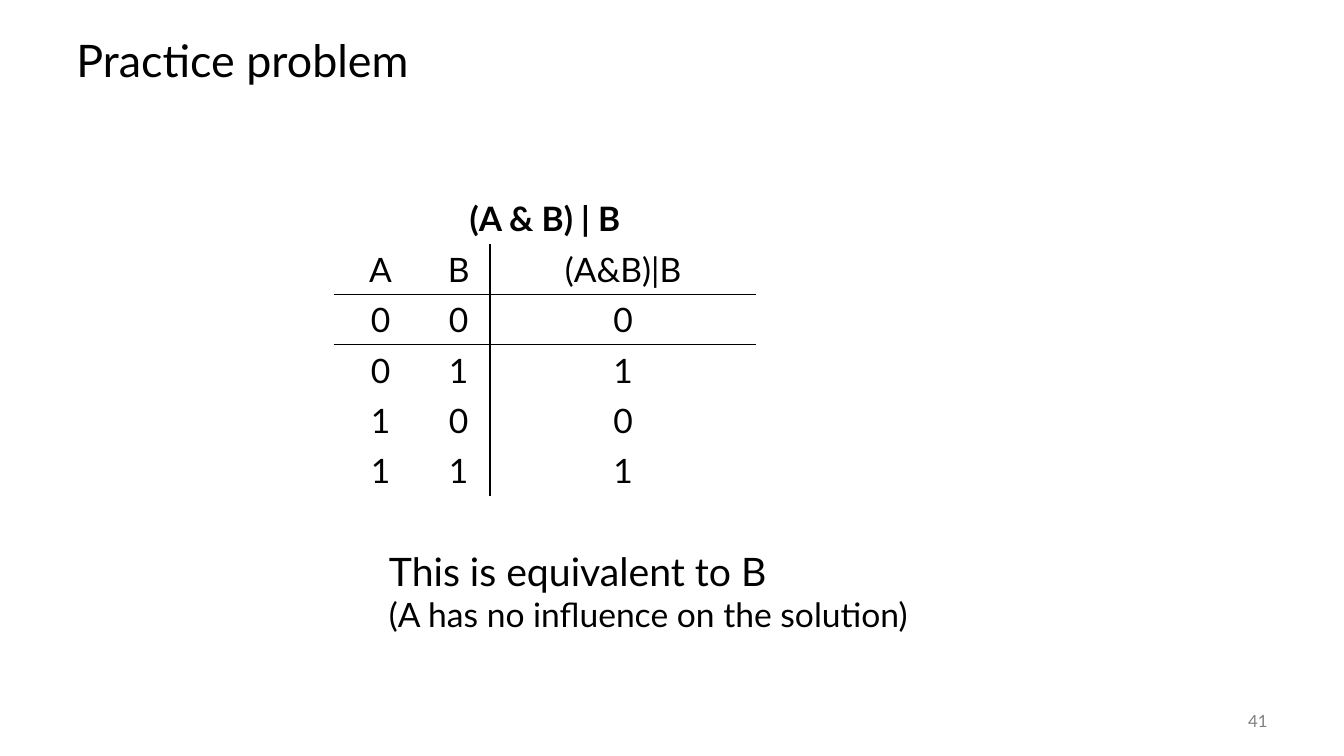
from dataclasses import dataclass

from lxml.etree import SubElement
from pptx import Presentation
from pptx.dml.color import RGBColor
from pptx.enum.text import MSO_ANCHOR, PP_ALIGN
from pptx.oxml.ns import qn
from pptx.util import Inches, Pt


@dataclass(frozen=True)
class Theme:
    """Fonts, colours and type sizes of the slide."""
    font: str = "Lato"
    ink: str = "000000"
    muted: str = "808080"
    title: int = 32
    conclusion: int = 28
    body: int = 24
    number: int = 12
    rule: int = 1


THEME = Theme()
EXPRESSION = "(A & B) | B"
TRUTH_ROWS = [
    ("A", "B", "(A&B)|B"),
    ("0", "0", "0"),
    ("0", "1", "1"),
    ("1", "0", "0"),
    ("1", "1", "1"),
]
COLUMN_WIDTHS = (0.93, 0.62, 2.64)
NO_STYLE = "{2D5ABB26-0587-4C30-8999-92F81FD0307C}"


def set_font(font, size, color=THEME.ink, bold=False):
    """Apply the theme typeface with a size, colour and weight."""
    font.name = THEME.font
    font.size = Pt(size)
    font.bold = bold
    font.color.rgb = RGBColor.from_string(color)


def add_text(slide, box, text, size, color=THEME.ink,
             align=PP_ALIGN.LEFT, anchor=MSO_ANCHOR.MIDDLE):
    """Place one paragraph in a box and return the paragraph."""
    shape = slide.shapes.add_textbox(*map(Inches, box))
    frame = shape.text_frame
    frame.word_wrap = True
    frame.vertical_anchor = anchor
    paragraph = frame.paragraphs[0]
    paragraph.text = text
    paragraph.alignment = align
    set_font(paragraph.font, size, color)
    return paragraph


def add_title(slide, box):
    """Place the slide title."""
    paragraph = add_text(slide, box, "Practice problem", THEME.title)
    paragraph.line_spacing = 0.9


def add_slide_number(slide, box):
    """Place the slide number."""
    add_text(slide, box, "41", THEME.number, THEME.muted, PP_ALIGN.RIGHT)


def add_conclusion(slide, box):
    """Place the conclusion and its smaller explanation."""
    paragraph = add_text(slide, box, "This is equivalent to B",
                         THEME.conclusion, anchor=MSO_ANCHOR.TOP)
    paragraph.add_line_break()
    explanation = paragraph.add_run()
    explanation.text = "(A has no influence on the solution)"
    explanation.font.size = Pt(THEME.body)


def add_borders(cell, sides):
    """Draw rules on the given sides of a cell."""
    properties = cell._tc.get_or_add_tcPr()
    for side in sides:
        line = SubElement(properties, qn(f"a:ln{side}"), w=str(Pt(THEME.rule)))
        fill = SubElement(line, qn("a:solidFill"))
        SubElement(fill, qn("a:srgbClr"), val=THEME.ink)


def fill_cell(cell, text, sides="", bold=False):
    """Set the text, rules and clear fill of a cell."""
    cell.text = text
    cell.vertical_anchor = MSO_ANCHOR.MIDDLE
    add_borders(cell, sides)
    cell.fill.background()
    paragraph = cell.text_frame.paragraphs[0]
    paragraph.alignment = PP_ALIGN.CENTER
    set_font(paragraph.font, THEME.body, bold=bold)


def add_truth_table(slide, box):
    """Place the truth table under its merged expression heading."""
    row_count = len(TRUTH_ROWS) + 1
    frame = slide.shapes.add_table(row_count, len(COLUMN_WIDTHS),
                                   *map(Inches, box))
    table = frame.table
    table.first_row = False
    table.horz_banding = False
    table._tbl.tblPr.find(qn("a:tableStyleId")).text = NO_STYLE
    for column, width in zip(table.columns, COLUMN_WIDTHS):
        column.width = Inches(width)
    for row in table.rows:
        row.height = Inches(box[3] / row_count)

    heading = table.cell(0, 0)
    heading.merge(table.cell(0, len(COLUMN_WIDTHS) - 1))
    fill_cell(heading, EXPRESSION, bold=True)

    column_sides = ("", "R", "L")
    row_sides = {1: "B", 2: "T"}
    for row_index, values in enumerate(TRUTH_ROWS, start=1):
        for column_index, value in enumerate(values):
            sides = column_sides[column_index] + row_sides.get(row_index, "")
            fill_cell(table.cell(row_index, column_index), value, sides)


def main():
    """Build and save the slide."""
    presentation = Presentation()
    presentation.slide_width = Inches(13.33)
    presentation.slide_height = Inches(7.5)
    slide = presentation.slides.add_slide(presentation.slide_layouts[6])
    add_title(slide, (0.66, 0.25, 12, 0.75))
    add_slide_number(slide, (11.67, 6.95, 1, 0.4))
    add_truth_table(slide, (3.31, 1.92, sum(COLUMN_WIDTHS), 3))
    add_conclusion(slide, (3.76, 5.38, 6.47, 0.98))
    presentation.save("out.pptx")


if __name__ == "__main__":
    main()
